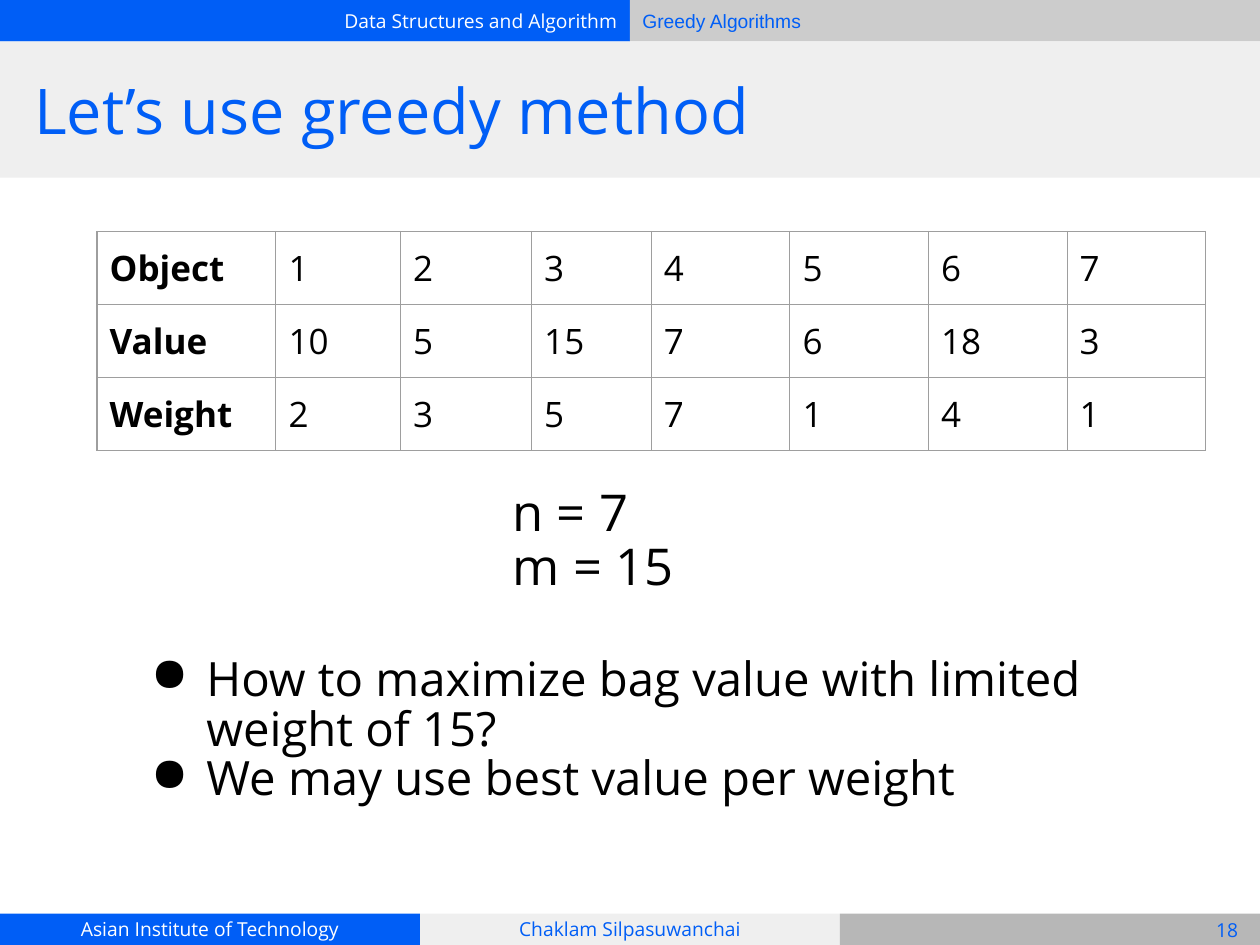
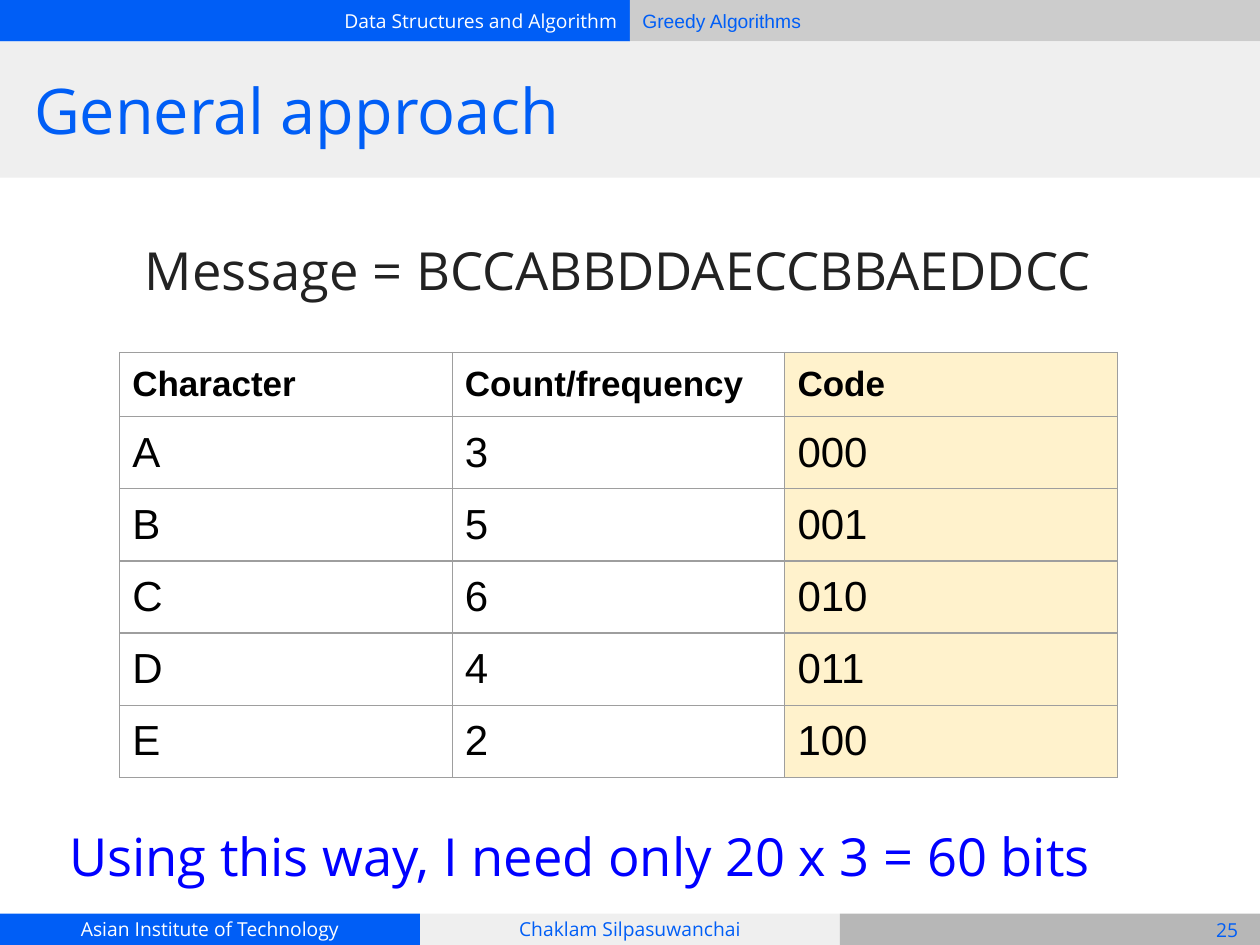
"""Build two lecture slides on greedy algorithms."""
from dataclasses import dataclass
from typing import NamedTuple, Optional

from lxml import etree
from pptx import Presentation
from pptx.dml.color import RGBColor
from pptx.enum.shapes import MSO_SHAPE
from pptx.enum.text import MSO_ANCHOR, MSO_AUTO_SIZE, PP_ALIGN
from pptx.oxml.ns import qn
from pptx.presentation import Presentation as Deck
from pptx.slide import Slide
from pptx.text.text import TextFrame
from pptx.util import Inches, Pt

RECTANGLE = MSO_SHAPE.RECTANGLE
LEFT, CENTER, RIGHT = PP_ALIGN.LEFT, PP_ALIGN.CENTER, PP_ALIGN.RIGHT
TOP, MIDDLE = MSO_ANCHOR.TOP, MSO_ANCHOR.MIDDLE
NO_AUTOFIT = MSO_AUTO_SIZE.NONE

BLUE = RGBColor(0x00, 0x5E, 0xF6)
PURE_BLUE = RGBColor(0x00, 0x00, 0xFF)
WHITE = RGBColor(0xFF, 0xFF, 0xFF)
BLACK = RGBColor(0x00, 0x00, 0x00)
CHARCOAL = RGBColor(0x22, 0x22, 0x22)
PALE_GRAY = RGBColor(0xEF, 0xEF, 0xEF)
LIGHT_GRAY = RGBColor(0xCC, 0xCC, 0xCC)
MEDIUM_GRAY = RGBColor(0xB7, 0xB7, 0xB7)
BORDER_GRAY = RGBColor(0x9E, 0x9E, 0x9E)
CREAM = RGBColor(0xFF, 0xF2, 0xCC)

OPEN_SANS, ARIAL = "Open Sans", "Arial"
SLIDE_WIDTH, SLIDE_HEIGHT = Inches(10), Inches(7.5)
INSET = Inches(0.1)
BORDER_WIDTH = Pt(0.75)
TITLE_ONLY_LAYOUT = 5
HEADER_HEIGHT, TITLE_HEIGHT, FOOTER_HEIGHT = 4.4, 14.4, 3.33
FOOTER_TOP = 100 - FOOTER_HEIGHT
THIRD = 100 / 3


def across(share: float) -> int:
    """Turn a percentage of the slide's width into a length."""
    return int(SLIDE_WIDTH * share / 100)


def down(share: float) -> int:
    """Turn a percentage of the slide's height into a length."""
    return int(SLIDE_HEIGHT * share / 100)


class Area(NamedTuple):
    """A rectangle in percentages of the slide's width and height."""

    left: float
    top: float
    width: float
    height: float

    def lengths(self) -> tuple[int, int, int, int]:
        """Give left, top, width and height as lengths."""
        return across(self.left), down(self.top), across(self.width), down(self.height)


class TextStyle(NamedTuple):
    """The look of a block of text."""

    size: float
    color: RGBColor
    font: str = OPEN_SANS
    align: PP_ALIGN = LEFT
    anchor: MSO_ANCHOR = TOP
    line_spacing: Optional[float] = None
    bullet: str = ""


@dataclass(frozen=True)
class Band:
    """A filled strip of the page frame with an optional label."""

    area: Area
    fill: RGBColor
    label: str = ""
    color: RGBColor = BLUE
    align: PP_ALIGN = CENTER
    font: str = OPEN_SANS


@dataclass(frozen=True)
class TextBlock:
    """A text box with one entry per paragraph."""

    area: Area
    lines: tuple[str, ...]
    style: TextStyle


@dataclass(frozen=True)
class DataTable:
    """A bordered table with column widths and row heights in percentages."""

    left: float
    top: float
    column_widths: tuple[float, ...]
    row_heights: tuple[float, ...]
    rows: tuple[tuple[str, ...], ...]
    header_style: TextStyle
    body_style: TextStyle
    header_in_column: bool = False
    tinted_column: Optional[int] = None


@dataclass(frozen=True)
class Page:
    """The content of one slide."""

    title: str
    number: int
    table: DataTable
    texts: tuple[TextBlock, ...]


BANDS = (
    Band(Area(0, 0, 50, HEADER_HEIGHT), BLUE, "Data Structures and Algorithm", WHITE, RIGHT),
    Band(Area(50, 0, 50, HEADER_HEIGHT), LIGHT_GRAY, "Greedy Algorithms", BLUE, LEFT, ARIAL),
    Band(Area(0, FOOTER_TOP, THIRD, FOOTER_HEIGHT), BLUE, "Asian Institute of Technology", WHITE),
    Band(Area(THIRD, FOOTER_TOP, THIRD, FOOTER_HEIGHT), PALE_GRAY, "Chaklam Silpasuwanchai"),
    Band(Area(2 * THIRD, FOOTER_TOP, THIRD, FOOTER_HEIGHT), MEDIUM_GRAY),
    Band(Area(0, HEADER_HEIGHT, 100, TITLE_HEIGHT), PALE_GRAY),
)
TITLE_AREA = Area(1.7, HEADER_HEIGHT, 96.7, TITLE_HEIGHT)
TITLE_STYLE = TextStyle(36, BLUE, anchor=MIDDLE)
NUMBER_AREA = Area(94.8, FOOTER_TOP + 0.1, 5.2, FOOTER_HEIGHT - 0.1)
NUMBER_STYLE = TextStyle(11, BLUE, align=CENTER, anchor=MIDDLE)
KNAPSACK_STYLE = TextStyle(20, BLACK)

PAGES = (
    Page(
        "Let’s use greedy method",
        18,
        DataTable(
            7.7, 24.5,
            (14.2, 9.9, 10.4, 9.5) + (11,) * 4,
            (7.72,) * 3,
            (
                ("Object", "1", "2", "3", "4", "5", "6", "7"),
                ("Value", "10", "5", "15", "7", "6", "18", "3"),
                ("Weight", "2", "3", "5", "7", "1", "4", "1"),
            ),
            KNAPSACK_STYLE, KNAPSACK_STYLE, header_in_column=True,
        ),
        (
            TextBlock(Area(39.7, 50.4, 19.2, 12.5), ("n = 7", "m = 15"),
                      TextStyle(29, BLACK, line_spacing=0.88)),
            TextBlock(
                Area(10.4, 68.1, 77.7, 23.7),
                ("How to maximize bag value with limited weight of 15?",
                 "We may use best value per weight"),
                TextStyle(27, BLACK, line_spacing=0.88, bullet="●"),
            ),
        ),
    ),
    Page(
        "General approach",
        25,
        DataTable(
            9.5, 37.3,
            (26.4,) * 3,
            (6.8,) + (7.62,) * 5,
            (
                ("Character", "Count/frequency", "Code"),
                ("A", "3", "000"),
                ("B", "5", "001"),
                ("C", "6", "010"),
                ("D", "4", "011"),
                ("E", "2", "100"),
            ),
            TextStyle(20, BLACK, ARIAL), TextStyle(24, BLACK, ARIAL), tinted_column=2,
        ),
        (
            TextBlock(Area(3.4, 23.9, 91.3, 13.4), ("Message = BCCABBDDAECCBBAEDDCC",),
                      TextStyle(30, CHARCOAL, align=CENTER)),
            TextBlock(Area(4.5, 86.7, 93.2, 7.6),
                      ("Using this way, I need only 20 x 3 = 60 bits",),
                      TextStyle(30, PURE_BLUE, anchor=MIDDLE)),
        ),
    ),
)


def add_bullet(paragraph, character: str) -> None:
    """Give a paragraph a hanging bullet."""
    properties = paragraph._p.get_or_add_pPr()
    properties.set("marL", str(Inches(0.5)))
    properties.set("indent", str(-Inches(0.44)))
    etree.SubElement(properties, qn("a:buChar")).set("char", character)


def write_text(frame: TextFrame, lines: tuple[str, ...], style: TextStyle, bold: bool = False) -> None:
    """Fill a text frame with paragraphs of one style."""
    frame.text = "\n".join(lines)
    for paragraph in frame.paragraphs:
        paragraph.alignment = style.align
        if style.line_spacing:
            paragraph.line_spacing = style.line_spacing
        if style.bullet:
            add_bullet(paragraph, style.bullet)
        for run in paragraph.runs:
            run.font.name = style.font
            run.font.size = Pt(style.size)
            run.font.bold = bold
            run.font.color.rgb = style.color


def write_box(frame: TextFrame, lines: tuple[str, ...], style: TextStyle) -> None:
    """Set up a shape's text frame and write its text."""
    frame.word_wrap = True
    frame.auto_size = NO_AUTOFIT
    frame.vertical_anchor = style.anchor
    frame.margin_left = frame.margin_right = INSET
    frame.margin_top = frame.margin_bottom = INSET
    write_text(frame, lines, style)


def draw_band(slide: Slide, band: Band) -> None:
    """Draw one strip of the page frame."""
    shape = slide.shapes.add_shape(RECTANGLE, *band.area.lengths())
    shape.shadow.inherit = False
    shape.fill.solid()
    shape.fill.fore_color.rgb = band.fill
    shape.line.fill.background()
    if band.label:
        style = TextStyle(11, band.color, band.font, band.align, MIDDLE)
        write_box(shape.text_frame, (band.label,), style)


def draw_text(slide: Slide, block: TextBlock) -> None:
    """Draw one text box."""
    box = slide.shapes.add_textbox(*block.area.lengths())
    write_box(box.text_frame, block.lines, block.style)


def place_title(slide: Slide, text: str) -> None:
    """Move the title placeholder in front of its band and format it."""
    title = slide.shapes.title
    slide.shapes.element.append(title.element)
    title.left, title.top, title.width, title.height = TITLE_AREA.lengths()
    write_box(title.text_frame, (text,), TITLE_STYLE)


def add_borders(cell) -> None:
    """Outline all four sides of a table cell."""
    properties = cell._tc.get_or_add_tcPr()
    for side in ("a:lnL", "a:lnR", "a:lnT", "a:lnB"):
        line = etree.SubElement(properties, qn(side), w=str(BORDER_WIDTH))
        fill = etree.SubElement(line, qn("a:solidFill"))
        etree.SubElement(fill, qn("a:srgbClr"), val=str(BORDER_GRAY))


def draw_table(slide: Slide, data: DataTable) -> None:
    """Draw a bordered table."""
    area = Area(data.left, data.top, sum(data.column_widths), sum(data.row_heights))
    table = slide.shapes.add_table(
        len(data.rows), len(data.column_widths), *area.lengths()).table
    table.first_row = table.horz_banding = False
    for column, width in zip(table.columns, data.column_widths):
        column.width = across(width)
    for row, height in zip(table.rows, data.row_heights):
        row.height = down(height)
    for row_index, values in enumerate(data.rows):
        for column_index, value in enumerate(values):
            cell = table.cell(row_index, column_index)
            is_header = (column_index if data.header_in_column else row_index) == 0
            cell.margin_left = cell.margin_right = INSET
            cell.margin_top = cell.margin_bottom = INSET
            style = data.header_style if is_header else data.body_style
            write_text(cell.text_frame, (value,), style, bold=is_header)
            add_borders(cell)
            if column_index == data.tinted_column:
                cell.fill.solid()
                cell.fill.fore_color.rgb = CREAM
            else:
                cell.fill.background()


def draw_page(presentation: Deck, page: Page) -> None:
    """Add one slide with its frame, title and content."""
    slide = presentation.slides.add_slide(presentation.slide_layouts[TITLE_ONLY_LAYOUT])
    for band in BANDS:
        draw_band(slide, band)
    place_title(slide, page.title)
    draw_text(slide, TextBlock(NUMBER_AREA, (str(page.number),), NUMBER_STYLE))
    draw_table(slide, page.table)
    for block in page.texts:
        draw_text(slide, block)


def main() -> None:
    """Build and save the presentation."""
    presentation = Presentation()
    presentation.slide_width, presentation.slide_height = SLIDE_WIDTH, SLIDE_HEIGHT
    for page in PAGES:
        draw_page(presentation, page)
    presentation.save("out.pptx")


if __name__ == "__main__":
    main()
